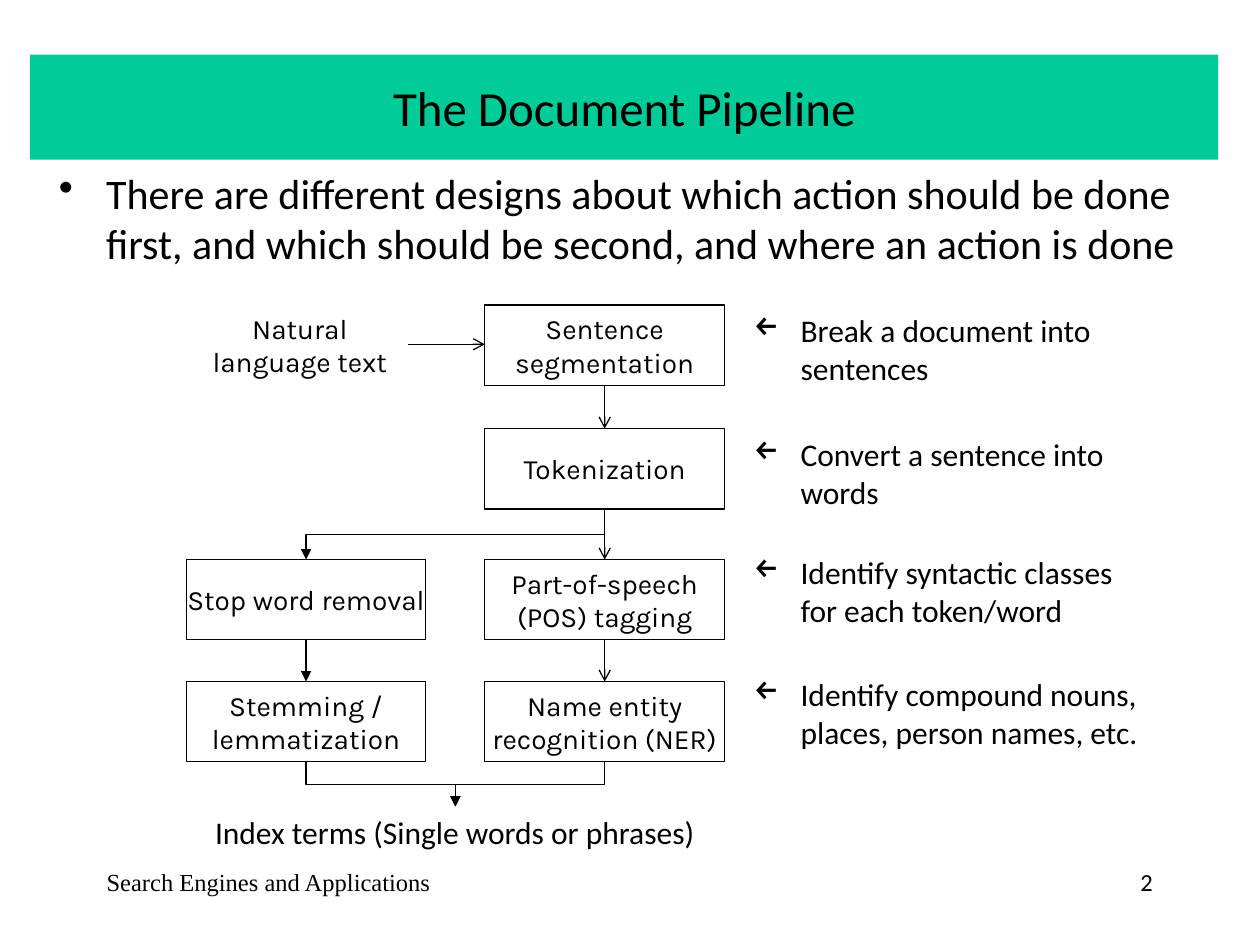
from dataclasses import dataclass

from lxml import etree
from pptx import Presentation
from pptx import util as u
from pptx.dml.color import RGBColor
from pptx.enum import shapes, text
from pptx.oxml.ns import qn


@dataclass(frozen=True)
class Theme:
    ink: RGBColor = RGBColor(0, 0, 0)
    banner: RGBColor = RGBColor(0x00, 0xCC, 0x99)
    body_font: str = "Calibri"
    step_font: str = "Karla"
    footer_font: str = "Times New Roman"
    title_size: int = 28
    body_size: int = 24
    note_size: int = 18
    step_size: int = 16
    footer_size: int = 14
    line_width: float = 0.75


THEME = Theme()
LEFT, RIGHT = 6.17, 12.19
ROWS = [6.15, 8.64, 11.28, 13.74]
STEP_WIDTH, STEP_HEIGHT = 4.83, 1.62
NOTE_LEFT, NOTE_WIDTH = 14.94, 8.56
INDENT = 0.95
OUTPUT_TOP = 16.26

STEPS = [
    (RIGHT, 0, "Sentence segmentation"),
    (RIGHT, 1, "Tokenization"),
    (RIGHT, 2, "Part-of-speech (POS) tagging"),
    (RIGHT, 3, "Name entity recognition (NER)"),
    (LEFT, 2, "Stop word removal"),
    (LEFT, 3, "Stemming / lemmatization"),
]
NOTES = [
    (6.15, "Break a document into sentences"),
    (8.64, "Convert a sentence into words"),
    (11.02, "Identify syntactic classes for each token/word"),
    (13.49, "Identify compound nouns, places, person names, etc."),
]


def write(box, words, size, font=THEME.body_font, align=text.PP_ALIGN.LEFT):
    box.text_frame.word_wrap = True
    para = box.text_frame.paragraphs[0]
    para.alignment = align
    span = para.add_run()
    span.text = words
    span.font.size = u.Pt(size)
    span.font.name = font
    span.font.color.rgb = THEME.ink
    return para


def add_text(page, left, top, width, height, words, size, **style):
    box = page.shapes.add_textbox(u.Cm(left), u.Cm(top), u.Cm(width), u.Cm(height))
    return write(box, words, size, **style)


def add_rectangle(page, left, top, width, height, words, size, font):
    box = page.shapes.add_shape(
        shapes.MSO_SHAPE.RECTANGLE, u.Cm(left), u.Cm(top), u.Cm(width), u.Cm(height)
    )
    box.shadow.inherit = False
    box.text_frame.vertical_anchor = text.MSO_ANCHOR.MIDDLE
    write(box, words, size, font, text.PP_ALIGN.CENTER)
    return box


def add_banner(page, words):
    box = add_rectangle(page, 0.61, 1.1, 23.95, 2.12, words, THEME.title_size, THEME.body_font)
    box.fill.solid()
    box.fill.fore_color.rgb = THEME.banner
    box.line.fill.background()


def add_step(page, center, row, words):
    box = add_rectangle(
        page, center - STEP_WIDTH / 2, ROWS[row], STEP_WIDTH, STEP_HEIGHT,
        words, THEME.step_size, THEME.step_font,
    )
    box.fill.background()
    box.line.color.rgb = THEME.ink
    box.line.width = u.Pt(THEME.line_width)
    box.text_frame.margin_left = box.text_frame.margin_right = u.Cm(0)


def space_by_percent(para, percent):
    spacing = etree.SubElement(para._p.get_or_add_pPr(), qn("a:spcBef"))
    etree.SubElement(spacing, qn("a:spcPct")).set("val", str(percent * 1000))


def add_bullet(para, mark):
    props = para._p.get_or_add_pPr()
    props.set("marL", str(u.Cm(INDENT)))
    props.set("indent", str(-u.Cm(INDENT)))
    etree.SubElement(props, qn("a:buFontTx"))
    etree.SubElement(props, qn("a:buChar")).set("char", mark)


def add_note(page, top, words):
    para = add_text(page, NOTE_LEFT, top, NOTE_WIDTH, STEP_HEIGHT, words, THEME.note_size)
    space_by_percent(para, 35)
    add_bullet(para, "\u2190")


def add_arrow(page, kind, start, end, head):
    arrow = page.shapes.add_connector(kind, *(u.Cm(value) for value in (*start, *end)))
    arrow.line.color.rgb = THEME.ink
    arrow.line.width = u.Pt(THEME.line_width)
    etree.SubElement(arrow.line._get_or_add_ln(), qn("a:tailEnd")).set("type", head)
    etree.SubElement(arrow._element.spPr, qn("a:effectLst"))
    return arrow


def add_straight(page, start, end, head):
    add_arrow(page, shapes.MSO_CONNECTOR.STRAIGHT, start, end, head)


def add_bent(page, start, end):
    half_drop = (end[1] - start[1]) / 2
    half_span = abs(end[0] - start[0]) / 2
    x, y = (start[0] + end[0]) / 2, (start[1] + end[1]) / 2
    arrow = add_arrow(
        page, shapes.MSO_CONNECTOR.ELBOW, (x - half_drop, y - half_span),
        (x + half_drop, y + half_span), "triangle",
    )
    rightward = end[0] > start[0]
    frame = arrow._element.spPr.find(qn("a:xfrm"))
    frame.set("rot", str((270 if rightward else 90) * 60000))
    if rightward:
        frame.set("flipH", "1")


def add_flow(page):
    bottoms = [top + STEP_HEIGHT for top in ROWS]
    middle = (LEFT + RIGHT) / 2
    add_straight(page, (8.23, 6.94), (RIGHT - STEP_WIDTH / 2, 6.94), "arrow")
    for bottom, top in zip(bottoms, ROWS[1:]):
        add_straight(page, (RIGHT, bottom), (RIGHT, top), "arrow")
    add_straight(page, (LEFT, bottoms[2]), (LEFT, ROWS[3]), "triangle")
    add_bent(page, (RIGHT, bottoms[1]), (LEFT, ROWS[2]))
    for center in (LEFT, RIGHT):
        add_bent(page, (center, bottoms[3]), (middle, OUTPUT_TOP))


def main():
    deck = Presentation()
    deck.slide_width, deck.slide_height = u.Cm(25.4), u.Cm(19.05)
    page = deck.slides.add_slide(deck.slide_layouts[6])
    centered = text.PP_ALIGN.CENTER

    add_banner(page, "The Document Pipeline")
    intro = add_text(
        page, 0.94, 3.25, 23.32, 2.51,
        "There are different designs about which action should be done first, "
        "and which should be second, and where an action is done",
        THEME.body_size,
    )
    intro.space_before = u.Pt(3)
    add_bullet(intro, "\u2022")

    add_text(page, 3.86, 6.15, 4.37, STEP_HEIGHT, "Natural language text",
             THEME.step_size, font=THEME.step_font, align=centered)
    for step in STEPS:
        add_step(page, *step)
    for note in NOTES:
        add_note(page, *note)
    add_flow(page)
    output = add_text(page, 3.76, OUTPUT_TOP, 10.82, 1.04,
                      "Index terms (Single words or phrases)", THEME.note_size, align=centered)
    space_by_percent(output, 35)

    add_text(page, 1.9, 17.35, 14.81, 1.27, "Search Engines and Applications",
             THEME.footer_size, font=THEME.footer_font)
    add_text(page, 18.21, 17.35, 5.28, 1.27, "2", THEME.footer_size, align=text.PP_ALIGN.RIGHT)
    deck.save("out.pptx")


main()
